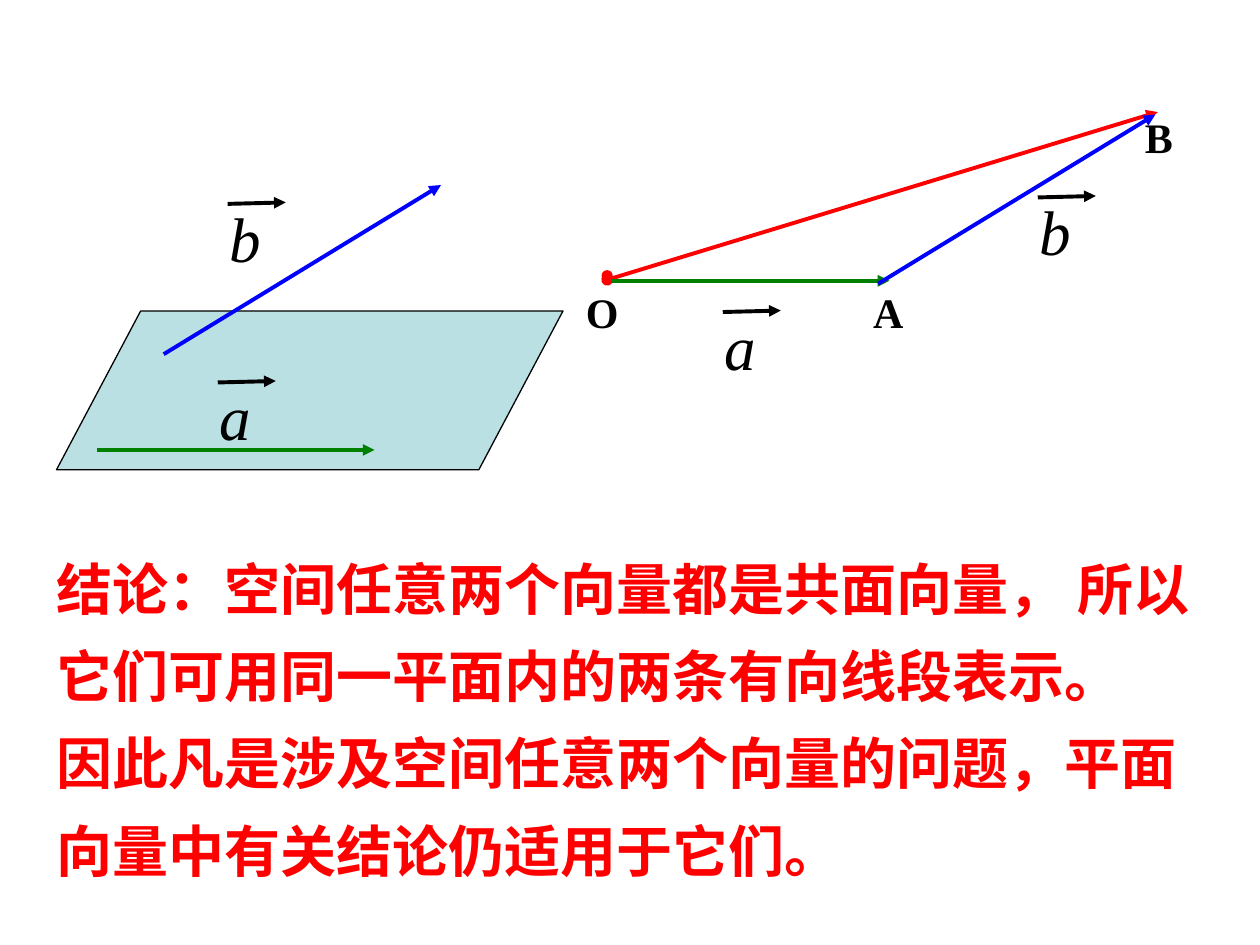
import dataclasses

import pptx
import pptx.dml.color
import pptx.enum.shapes
import pptx.enum.text
import pptx.oxml
import pptx.oxml.ns
import pptx.util
from pptx.util import Cm


@dataclasses.dataclass(frozen=True)
class Theme:
    font: str = "Times New Roman"
    black: str = "000000"
    red: str = "FF0000"
    green: str = "008000"
    blue: str = "0000FF"
    plane: str = "BBE0E3"
    vector_size: int = 36
    point_size: int = 24
    conclusion_size: int = 32
    outline_width: float = 0.75
    vector_width: float = 2.25


THEME = Theme()
VECTOR_A = (5.59, 0)
VECTOR_B = (5.59, -3.41)
CONCLUSION = [
    "结论：空间任意两个向量都是共面向量， 所以",
    "它们可用同一平面内的两条有向线段表示。",
    "因此凡是涉及空间任意两个向量的问题，平面",
    "向量中有关结论仍适用于它们。",
]


def color(value):
    return pptx.dml.color.RGBColor.from_string(value)


def add_arrow(slide, start, vector, line_color, head=None):
    x, y = start
    connector = slide.shapes.add_connector(
        pptx.enum.shapes.MSO_CONNECTOR.STRAIGHT,
        Cm(x), Cm(y), Cm(x + vector[0]), Cm(y + vector[1]))
    connector.line.color.rgb = color(line_color)
    connector.line.width = pptx.util.Pt(THEME.vector_width)
    line = connector.line._get_or_add_ln()
    ends = [("a:headEnd", head), ("a:tailEnd", "triangle")]
    for tag, kind in ends:
        if kind:
            end = pptx.oxml.parse_xml(f"<{tag} {pptx.oxml.ns.nsdecls('a')}/>")
            end.set("type", kind)
            line.append(end)
    properties = connector._element.spPr
    properties.append(pptx.oxml.parse_xml(
        f"<a:effectLst {pptx.oxml.ns.nsdecls('a')}/>"))


def add_filled_shape(slide, kind, box, fill, line_color):
    shape = slide.shapes.add_shape(kind, *map(Cm, box))
    shape.shadow.inherit = False
    shape.fill.solid()
    shape.fill.fore_color.rgb = color(fill)
    shape.line.color.rgb = color(line_color)
    shape.line.width = pptx.util.Pt(THEME.outline_width)
    return shape


def add_text(slide, box, lines, size, text_color, bold=False, italic=False,
             wrap=False, spacing=None):
    frame = slide.shapes.add_textbox(*map(Cm, box)).text_frame
    frame.word_wrap = wrap
    frame.auto_size = pptx.enum.text.MSO_AUTO_SIZE.SHAPE_TO_FIT_TEXT
    frame.text = "\n".join(lines)
    for paragraph in frame.paragraphs:
        paragraph.line_spacing = spacing
        for run in paragraph.runs:
            run.font.name = THEME.font
            run.font.size = pptx.util.Pt(size)
            run.font.bold = bold
            run.font.italic = italic
            run.font.color.rgb = color(text_color)


def add_vector_label(slide, left, top, letter):
    add_text(slide, (left, top, 1.14, 1.78), [letter], THEME.vector_size,
             THEME.black, italic=True)
    add_arrow(slide, (left + 0.22, top + 0.22), (1.17, -0.03), THEME.black)


def add_plane_diagram(slide, left, top, width, height):
    plane_height = 3.2
    plane = add_filled_shape(
        slide, pptx.enum.shapes.MSO_SHAPE.PARALLELOGRAM,
        (left, top + height - plane_height, width, plane_height),
        THEME.plane, THEME.black)
    plane.adjustments[0] = 0.53
    add_arrow(slide, (left + 2.16, top + 3.41), VECTOR_B, THEME.blue)
    add_vector_label(slide, left + 3.23, top + 0.16, "b")
    add_arrow(slide, (left + 0.82, top + 5.34), VECTOR_A, THEME.green)
    add_vector_label(slide, left + 3.03, top + 3.76, "a")


def add_triangle_diagram(slide, left, top):
    add_arrow(slide, (left + 0.68, top + 3.51), (11.1, -3.38), THEME.red,
              head="oval")
    add_filled_shape(slide, pptx.enum.shapes.MSO_SHAPE.OVAL,
                     (left + 0.58, top + 3.33, 0.2, 0.2),
                     THEME.red, THEME.red)
    points = [("O", 0, 3.53, 1.17), ("A", 5.79, 3.53, 1.12),
              ("B", 11.27, 0, 1.07)]
    for name, x, y, width in points:
        add_text(slide, (left + x, top + y, width, 1.27), [name],
                 THEME.point_size, THEME.black, bold=True)
    add_arrow(slide, (left + 0.78, top + 3.53), VECTOR_A, THEME.green)
    add_vector_label(slide, left + 2.79, top + 3.94, "a")
    add_arrow(slide, (left + 6.14, top + 3.59), VECTOR_B, THEME.blue)
    add_vector_label(slide, left + 9.14, top + 1.63, "b")


def add_conclusion(slide, left, top, width, height):
    add_text(slide, (left, top, width, height), CONCLUSION,
             THEME.conclusion_size, THEME.red, bold=True, wrap=True,
             spacing=1.3)


def main():
    presentation = pptx.Presentation()
    presentation.slide_width = Cm(25.4)
    presentation.slide_height = Cm(19.05)
    slide = presentation.slides.add_slide(presentation.slide_layouts[6])
    add_plane_diagram(slide, 1.14, 3.73, 10.21, 5.74)
    add_triangle_diagram(slide, 11.56, 2.13)
    add_conclusion(slide, 0.89, 10.64, 23.8, 7.32)
    presentation.save("out.pptx")


if __name__ == "__main__":
    main()
